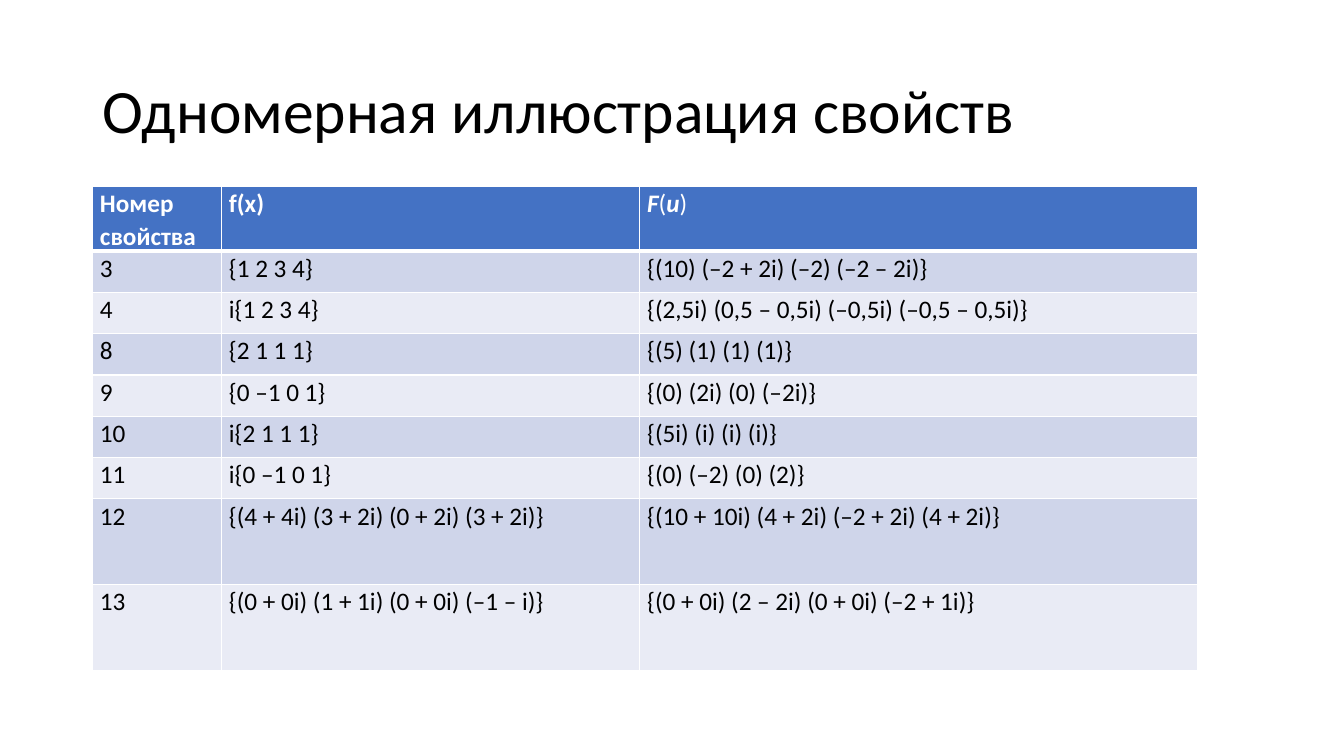
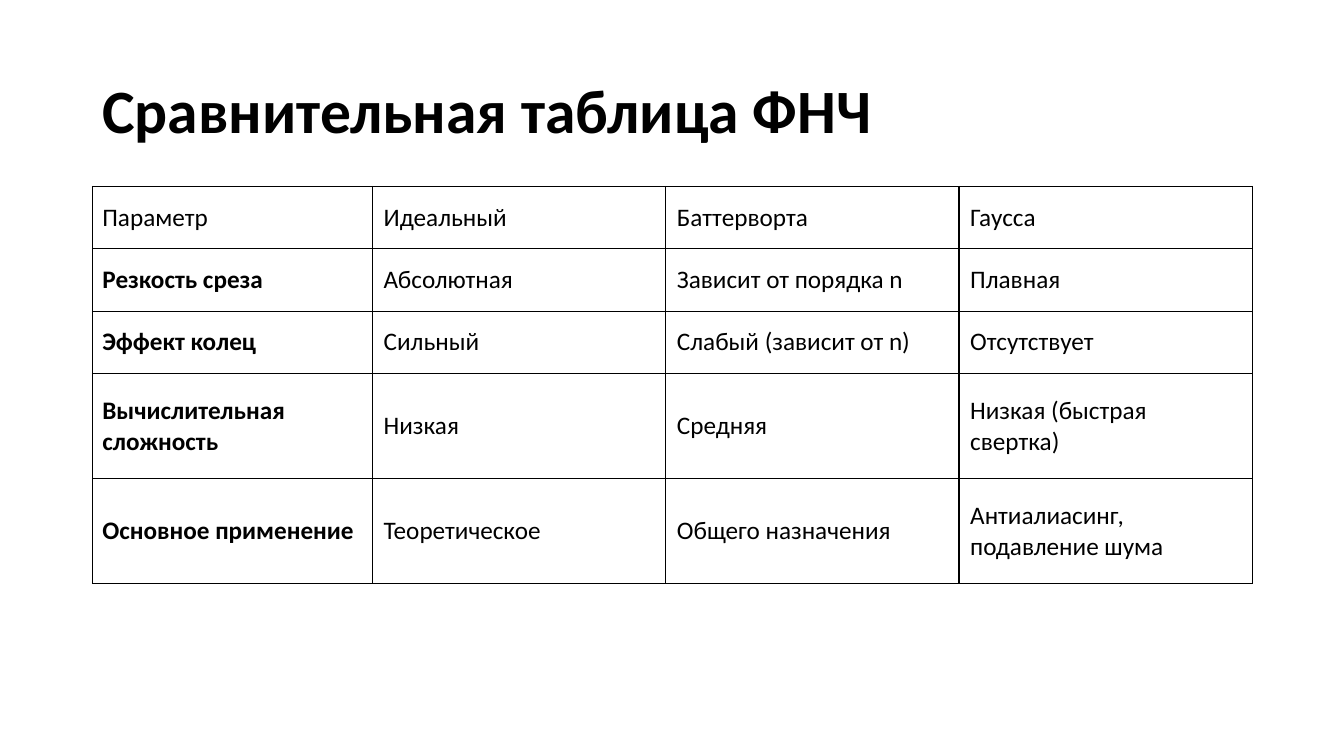
from dataclasses import dataclass

from lxml import etree
from pptx import Presentation
from pptx.dml.color import RGBColor
from pptx.enum.text import MSO_ANCHOR
from pptx.oxml.ns import qn
from pptx.util import Cm, Pt

MIDDLE, TOP = MSO_ANCHOR.MIDDLE, MSO_ANCHOR.TOP
SIDES = ("L", "R", "T", "B")


@dataclass(frozen=True)
class Theme:
    font: str = "Calibri"
    black: str = "000000"
    white: str = "FFFFFF"
    header: str = "4472C4"
    bands: tuple = ("CFD5EA", "E9EBF5")
    title_size: int = 44
    body_size: int = 18
    thin: int = 1
    thick: int = 3
    left: float = 2.33
    title_top: float = 1.01
    title_width: float = 29.21
    title_height: float = 3.68
    table_top: float = 4.7


THEME = Theme()

PROPERTIES_TITLE = "Одномерная иллюстрация свойств"
FOURIER_HEADER = (("F", True, True), ("(", False, False), ("u", True, True), (")", False, False))
PROPERTIES = [
    ("Номер свойства", "f(x)", FOURIER_HEADER),
    ("3", "{1 2 3 4}", "{(10) (–2 + 2i) (–2) (–2 – 2i)}"),
    ("4", "i{1 2 3 4}", "{(2,5i) (0,5 – 0,5i) (–0,5i) (–0,5 – 0,5i)}"),
    ("8", "{2 1 1 1}", "{(5) (1) (1) (1)}"),
    ("9", "{0 –1 0 1}", "{(0) (2i) (0) (–2i)}"),
    ("10", "i{2 1 1 1}", "{(5i) (i) (i) (i)}"),
    ("11", "i{0 –1 0 1}", "{(0) (–2) (0) (2)}"),
    ("12", "{(4 + 4i) (3 + 2i) (0 + 2i) (3 + 2i)}", "{(10 + 10i) (4 + 2i) (–2 + 2i) (4 + 2i)}"),
    ("13", "{(0 + 0i) (1 + 1i) (0 + 0i) (–1 – i)}", "{(0 + 0i) (2 – 2i) (0 + 0i) (–2 + 1i)}"),
]
PROPERTY_WIDTHS = [3.25, 10.54, 14.07]
PROPERTY_HEIGHTS = [1.6] + [1.04] * 6 + [2.16] * 2

FILTERS_TITLE = "Сравнительная таблица ФНЧ"
FILTERS = [
    ("Параметр", "Идеальный", "Баттерворта", "Гаусса"),
    ("Резкость среза", "Абсолютная", "Зависит от порядка n", "Плавная"),
    ("Эффект колец", "Сильный", "Слабый (зависит от n)", "Отсутствует"),
    ("Вычислительная сложность", "Низкая", "Средняя", "Низкая (быстрая свертка)"),
    ("Основное применение", "Теоретическое", "Общего назначения", "Антиалиасинг, подавление шума"),
]
FILTER_WIDTHS = [7.06] + [7.39] * 3
FILTER_HEIGHTS = [1.57] * 3 + [2.65] * 2


def write(frame, runs, size, color, spacing):
    paragraph = frame.paragraphs[0]
    paragraph.line_spacing = spacing
    for text, bold, italic in runs:
        run = paragraph.add_run()
        run.text = text
        font = run.font
        font.name, font.size = THEME.font, Pt(size)
        font.bold, font.italic = bold, italic
        font.color.rgb = RGBColor.from_string(color)


def add_title(slide, text, bold):
    box = slide.shapes.add_textbox(Cm(THEME.left), Cm(THEME.title_top),
                                   Cm(THEME.title_width), Cm(THEME.title_height))
    frame = box.text_frame
    frame.word_wrap = True
    frame.vertical_anchor = MIDDLE
    write(frame, [(text, bold, False)], THEME.title_size, THEME.black, 0.9)


def set_borders(cell, color, widths):
    properties = cell._tc.get_or_add_tcPr()
    for side in SIDES:
        line = etree.SubElement(properties, qn(f"a:ln{side}"), w=str(Pt(widths.get(side, THEME.thin))))
        solid = etree.SubElement(line, qn("a:solidFill"))
        etree.SubElement(solid, qn("a:srgbClr"), val=color)


def set_margins(cell, left, top, right, bottom):
    cell.margin_left, cell.margin_top = Cm(left), Cm(top)
    cell.margin_right, cell.margin_bottom = Cm(right), Cm(bottom)


def style_property(cell, row, column, content):
    is_header = row == 0
    set_margins(cell, 0.19, 0, 0.19, 0)
    cell.vertical_anchor = TOP
    set_borders(cell, THEME.white, {0: {"B": THEME.thick}, 1: {"T": THEME.thick}}.get(row, {}))
    cell.fill.solid()
    fill = THEME.header if is_header else THEME.bands[(row - 1) % 2]
    cell.fill.fore_color.rgb = RGBColor.from_string(fill)
    runs = [(content, is_header, False)] if isinstance(content, str) else content
    write(cell.text_frame, runs, THEME.body_size, THEME.white if is_header else THEME.black, 1.07)


def style_filter(cell, row, column, content):
    set_margins(cell, 0.28 if column else 0.25, 0.19, 0.28, 0.19)
    cell.vertical_anchor = MIDDLE
    set_borders(cell, THEME.black, {})
    cell.fill.background()
    is_parameter = row > 0 and column == 0
    write(cell.text_frame, [(content, is_parameter, False)], THEME.body_size, THEME.black, 1.0)


def add_table(slide, rows, widths, heights, style_cell):
    table = slide.shapes.add_table(len(rows), len(widths), Cm(THEME.left), Cm(THEME.table_top),
                                   Cm(sum(widths)), Cm(sum(heights))).table
    table.first_row = table.horz_banding = False
    for column, width in zip(table.columns, widths):
        column.width = Cm(width)
    for row, height in zip(table.rows, heights):
        row.height = Cm(height)
    for r, contents in enumerate(rows):
        for c, content in enumerate(contents):
            style_cell(table.cell(r, c), r, c, content)


SLIDES = [
    (PROPERTIES_TITLE, False, PROPERTIES, PROPERTY_WIDTHS, PROPERTY_HEIGHTS, style_property),
    (FILTERS_TITLE, True, FILTERS, FILTER_WIDTHS, FILTER_HEIGHTS, style_filter),
]


def main():
    deck = Presentation()
    deck.slide_width, deck.slide_height = Cm(33.87), Cm(19.05)
    blank = deck.slide_layouts[6]
    for title, bold, rows, widths, heights, style_cell in SLIDES:
        slide = deck.slides.add_slide(blank)
        add_title(slide, title, bold)
        add_table(slide, rows, widths, heights, style_cell)
    deck.save("out.pptx")


if __name__ == "__main__":
    main()
